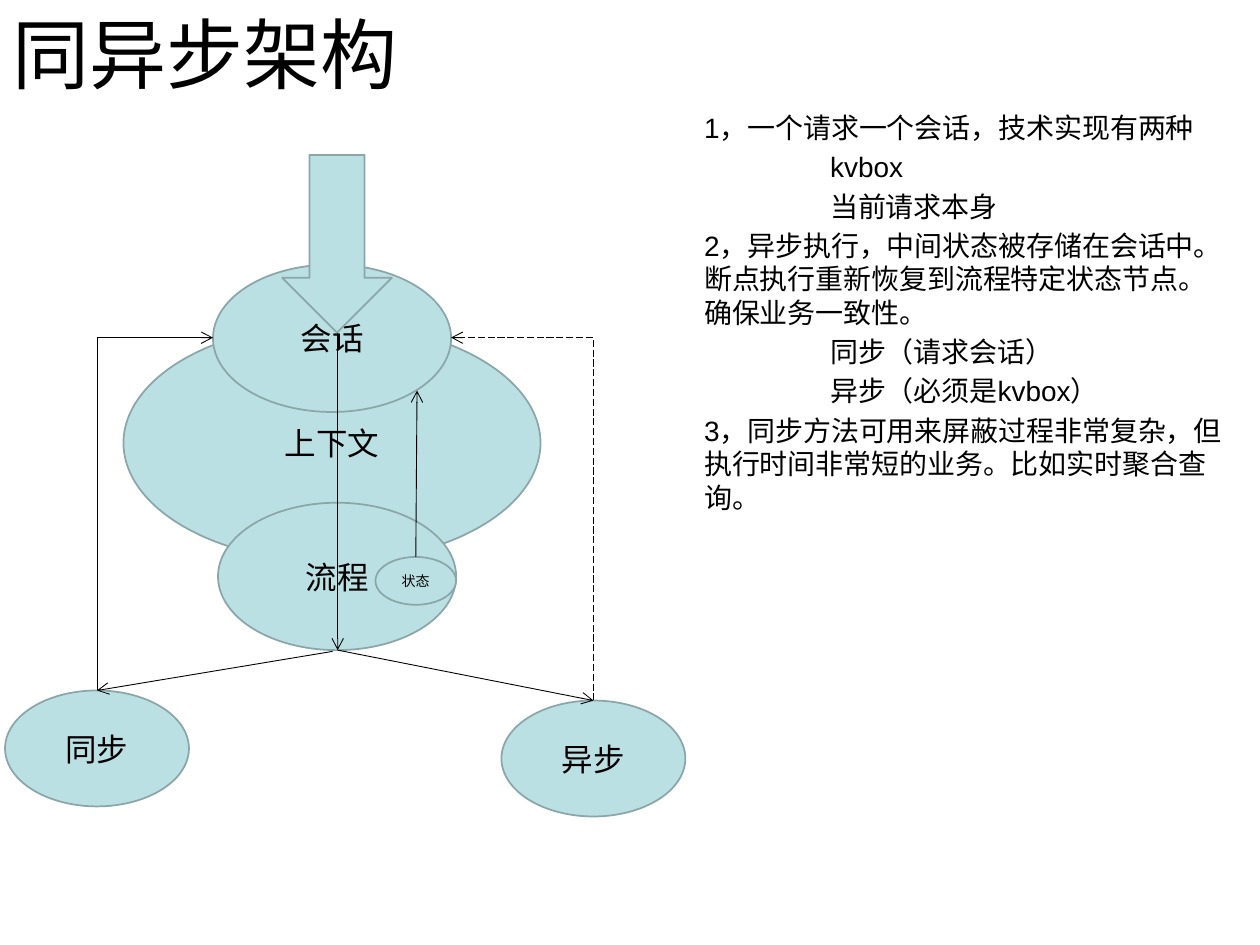
from dataclasses import dataclass

from lxml import etree
from pptx import Presentation
from pptx.dml.color import RGBColor
from pptx.enum.dml import MSO_LINE
from pptx.enum.shapes import MSO_CONNECTOR, MSO_SHAPE
from pptx.enum.text import MSO_ANCHOR, PP_ALIGN
from pptx.oxml.ns import qn
from pptx.util import Inches, Pt

OVAL = MSO_SHAPE.OVAL
DOWN_ARROW = MSO_SHAPE.DOWN_ARROW
STRAIGHT = MSO_CONNECTOR.STRAIGHT
ELBOW = MSO_CONNECTOR.ELBOW
LONG_DASH = MSO_LINE.LONG_DASH
CENTER, LEFT = PP_ALIGN.CENTER, PP_ALIGN.LEFT
MIDDLE, TOP = MSO_ANCHOR.MIDDLE, MSO_ANCHOR.TOP

FONT = "Arial"
COLORS = {"fill": "BBE0E3", "outline": "8AA6A8", "ink": "000000"}


@dataclass
class Node:
    left: float
    top: float
    width: float
    height: float
    label: str = ""
    size: float = 18
    kind: int = OVAL


@dataclass
class Link:
    start: tuple[float, float]
    end: tuple[float, float]
    elbow: bool = False
    dashed: bool = False


NODES = [
    Node(0.98, 2.57, 3.31, 1.89, "上下文"),
    Node(1.69, 2.1, 1.89, 1.17, "会话"),
    Node(2.24, 1.23, 0.87, 1.41, kind=DOWN_ARROW),
    Node(1.73, 3.99, 1.89, 1.17, "流程"),
    Node(0.04, 5.48, 1.46, 0.92, "同步"),
    Node(3.98, 5.56, 1.46, 0.92, "异步"),
    Node(2.98, 4.42, 0.64, 0.38, "状态", 8),
]

SYNC_TOP, ASYNC_TOP, PROCESS_BOTTOM = (0.77, 5.48), (4.71, 5.56), (2.68, 5.16)
LINKS = [
    Link((2.68, 2.64), PROCESS_BOTTOM),
    Link((2.64, 5.17), SYNC_TOP),
    Link(PROCESS_BOTTOM, ASYNC_TOP),
    Link(SYNC_TOP, (1.69, 2.68), elbow=True),
    Link(ASYNC_TOP, (3.58, 2.68), elbow=True, dashed=True),
    Link((3.3, 4.42), (3.31, 3.1)),
]

NOTES = [
    "1，一个请求一个会话，技术实现有两种",
    "\tkvbox",
    "\t当前请求本身",
    "2，异步执行，中间状态被存储在会话中。断点执行重新恢复到流程特定状态节点。确保业务一致性。",
    "\t同步（请求会话）",
    "\t异步（必须是kvbox）",
    "3，同步方法可用来屏蔽过程非常复杂，但执行时间非常短的业务。比如实时聚合查询。",
]


def color(name: str) -> RGBColor:
    return RGBColor.from_string(COLORS[name])


def write(frame, lines: list[str], size: float, align=LEFT, anchor=TOP, before: float = 0) -> None:
    frame.word_wrap = True
    frame.vertical_anchor = anchor
    frame.text = "\n".join(lines)
    for para in frame.paragraphs:
        para.alignment = align
        para.space_before = Pt(before)
        if para.text.startswith("\t"):
            add_tab_stop(para, 1)
        for span in para.runs:
            span.font.name = FONT
            span.font.size = Pt(size)
            span.font.color.rgb = color("ink")


def add_tab_stop(para, position: float) -> None:
    stops = etree.SubElement(para._p.get_or_add_pPr(), qn("a:tabLst"))
    etree.SubElement(stops, qn("a:tab"), pos=str(Inches(position)), algn="l")


def add_text(page, left: float, top: float, width: float, height: float):
    box = page.shapes.add_textbox(Inches(left), Inches(top), Inches(width), Inches(height))
    return box.text_frame


def add_node(page, node: Node) -> None:
    shape = page.shapes.add_shape(
        node.kind, Inches(node.left), Inches(node.top), Inches(node.width), Inches(node.height))
    shape.shadow.inherit = False
    shape.fill.solid()
    shape.fill.fore_color.rgb = color("fill")
    shape.line.color.rgb = color("outline")
    shape.line.width = Pt(1)
    if node.label:
        write(shape.text_frame, [node.label], node.size, CENTER, MIDDLE)


def bend_once(connector, link: Link) -> None:
    """Turn an elbow into a single corner that goes up first, then sideways."""
    (x1, y1), (x2, y2) = link.start, link.end
    rise, run = y1 - y2, abs(x2 - x1)
    connector.left = Inches((x1 + x2 - rise) / 2)
    connector.top = Inches((y1 + y2 - run) / 2)
    connector.width, connector.height = Inches(rise), Inches(run)
    properties = connector._element.spPr
    properties.find(qn("a:prstGeom")).set("prst", "bentConnector2")
    frame = properties.find(qn("a:xfrm"))
    for flip in ("flipH", "flipV"):
        frame.attrib.pop(flip, None)
    frame.set("rot", str(270 * 60000))
    if x2 < x1:
        frame.set("flipV", "1")


def add_link(page, link: Link) -> None:
    ends = [Inches(value) for value in (*link.start, *link.end)]
    connector = page.shapes.add_connector(ELBOW if link.elbow else STRAIGHT, *ends)
    if link.elbow:
        bend_once(connector, link)
    connector.line.color.rgb = color("ink")
    connector.line.width = Pt(0.5)
    if link.dashed:
        connector.line.dash_style = LONG_DASH
    properties = connector._element.spPr
    etree.SubElement(properties.find(qn("a:ln")), qn("a:tailEnd"), type="arrow")
    etree.SubElement(properties, qn("a:effectLst"))


def main() -> None:
    deck = Presentation()
    deck.slide_width, deck.slide_height = Inches(10), Inches(7.5)
    page = deck.slides.add_slide(deck.slide_layouts[6])

    write(add_text(page, 0, 0, 10, 0.83), ["同异步架构"], 44, anchor=MIDDLE)
    for node in NODES:
        add_node(page, node)
    for link in LINKS:
        add_link(page, link)
    write(add_text(page, 5.49, 0.83, 4.4, 6.67), NOTES, 16, before=3.2)

    deck.save("out.pptx")


if __name__ == "__main__":
    main()
